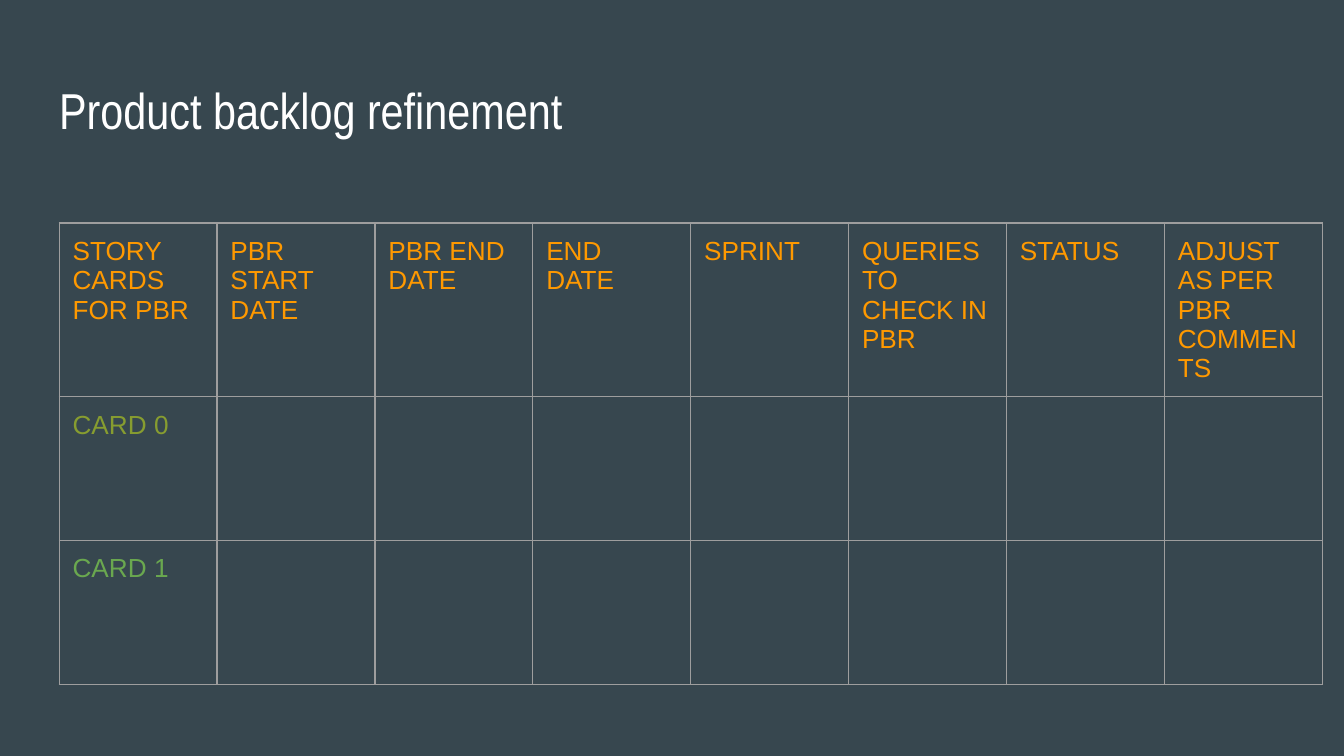
from dataclasses import dataclass

import pptx
import pptx.dml.color
import pptx.enum.text
import pptx.oxml
import pptx.oxml.ns
import pptx.util

Inch = pptx.util.Inches
WIDE = 10
HIGH = WIDE * 9 / 16
PAD = 0.1
GREY, ORANGE, WHITE = "9E9E9E", "FF9900", "FFFFFF"


@dataclass
class Row:
    height: float
    color: str
    texts: list[str]


ROWS = [
    Row(1.13, ORANGE, [
        "STORY CARDS FOR PBR", "PBR START\nDATE", "PBR END\nDATE", "END\nDATE",
        "SPRINT", "QUERIES TO CHECK IN PBR", "STATUS",
        "ADJUST AS PER PBR COMMENTS"]),
    Row(1.07, "879D30", ["CARD 0"]),
    Row(1.07, "6AA84F", ["CARD 1"]),
]
COLS = len(ROWS[0].texts)


def rgb(color: str) -> pptx.dml.color.RGBColor:
    return pptx.dml.color.RGBColor.from_string(color)


def write(frame, text: str, *, size: float, color: str, font: str = "Arial") -> None:
    """Fill a text frame, one paragraph for each line."""
    frame.text = text
    frame.word_wrap = True
    for para in frame.paragraphs:
        para.alignment = pptx.enum.text.PP_ALIGN.LEFT
        para.line_spacing = 1.0
        para.space_before = pptx.util.Pt(0)
        for run in para.runs:
            run.font.size = pptx.util.Pt(size)
            run.font.name = font
            run.font.color.rgb = rgb(color)


def pad(box) -> None:
    box.margin_left = box.margin_right = Inch(PAD)
    box.margin_top = box.margin_bottom = Inch(PAD)


def border(cell, color: str, width: float) -> None:
    """Draw all four edges; they come before the fill in the cell's XML."""
    props = cell._tc.get_or_add_tcPr()
    for spot, edge in enumerate(("lnL", "lnR", "lnT", "lnB")):
        line = pptx.oxml.parse_xml(
            f'<a:{edge} {pptx.oxml.ns.nsdecls("a")} w="{pptx.util.Pt(width)}">'
            f'<a:solidFill><a:srgbClr val="{color}"/></a:solidFill></a:{edge}>')
        props.insert(spot, line)


def grid(slide, rows: list[Row], left: float, top: float, width: float) -> None:
    frame = slide.shapes.add_table(
        len(rows), COLS, Inch(left), Inch(top), Inch(width),
        Inch(sum(row.height for row in rows)))
    table = frame.table
    table.first_row = table.horz_banding = False
    for col in table.columns:
        col.width = Inch(width / COLS)
    for line, row in zip(table.rows, rows):
        line.height = Inch(row.height)
        for spot, cell in enumerate(line.cells):
            pad(cell)
            cell.fill.background()
            border(cell, GREY, 0.75)
            if spot < len(row.texts):
                write(cell.text_frame, row.texts[spot], size=14, color=row.color)


# Slide and background
deck = pptx.Presentation()
deck.slide_width, deck.slide_height = Inch(WIDE), Inch(HIGH)
slide = deck.slides.add_slide(deck.slide_layouts[5])
slide.background.fill.solid()
slide.background.fill.fore_color.rgb = rgb("37474F")

# Title
title = slide.shapes.title
title.left, title.top = Inch(0.34), Inch(0.49)
title.width, title.height = Inch(WIDE - 2 * 0.34), Inch(0.63)
frame = title.text_frame
pad(frame)
frame.auto_size = pptx.enum.text.MSO_AUTO_SIZE.NONE
frame.vertical_anchor = pptx.enum.text.MSO_ANCHOR.TOP
write(frame, "Product backlog refinement", size=27, color=WHITE, font="Arial Narrow")

# Backlog table
grid(slide, ROWS, left=0.44, top=1.66, width=9.4)

deck.save("out.pptx")
